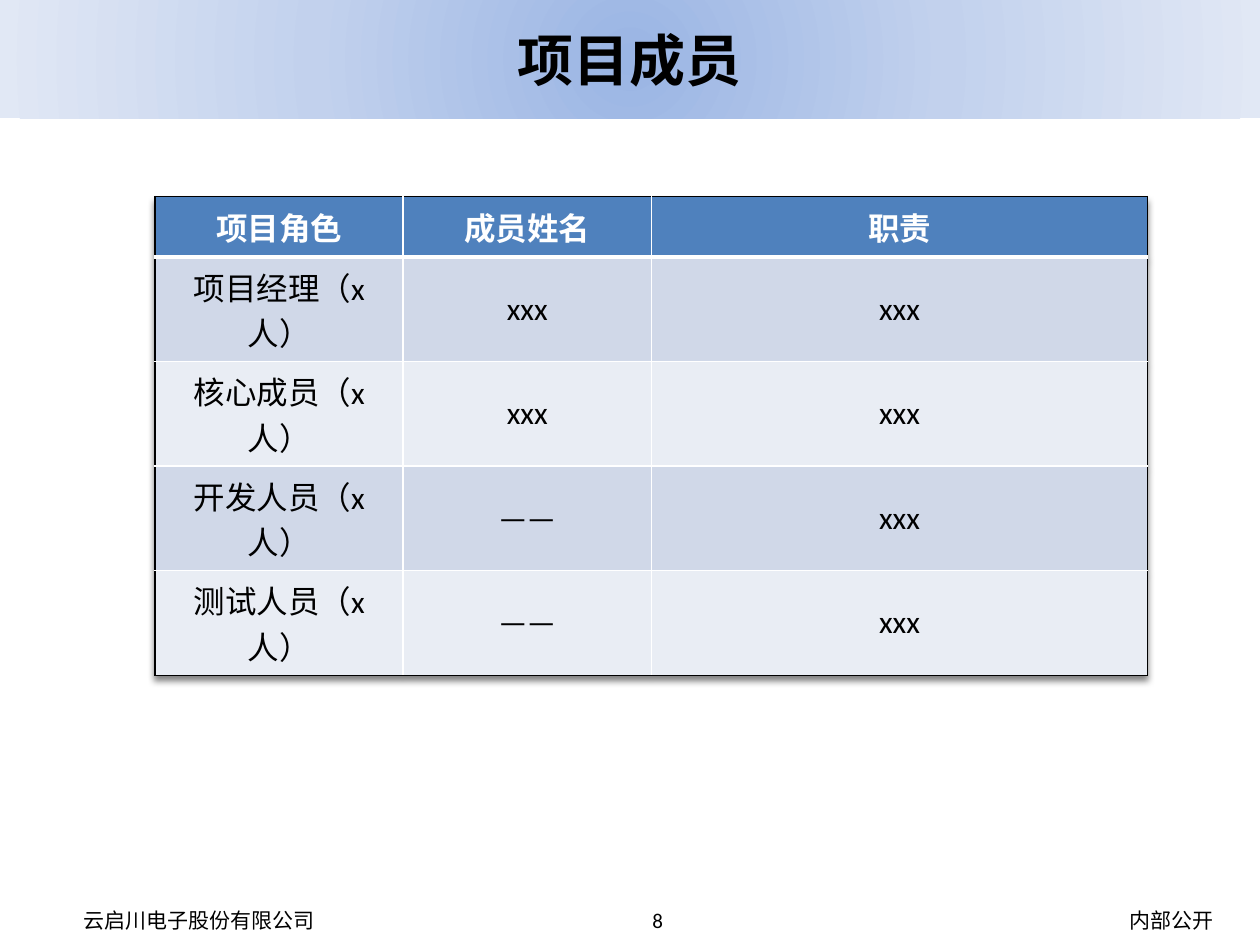
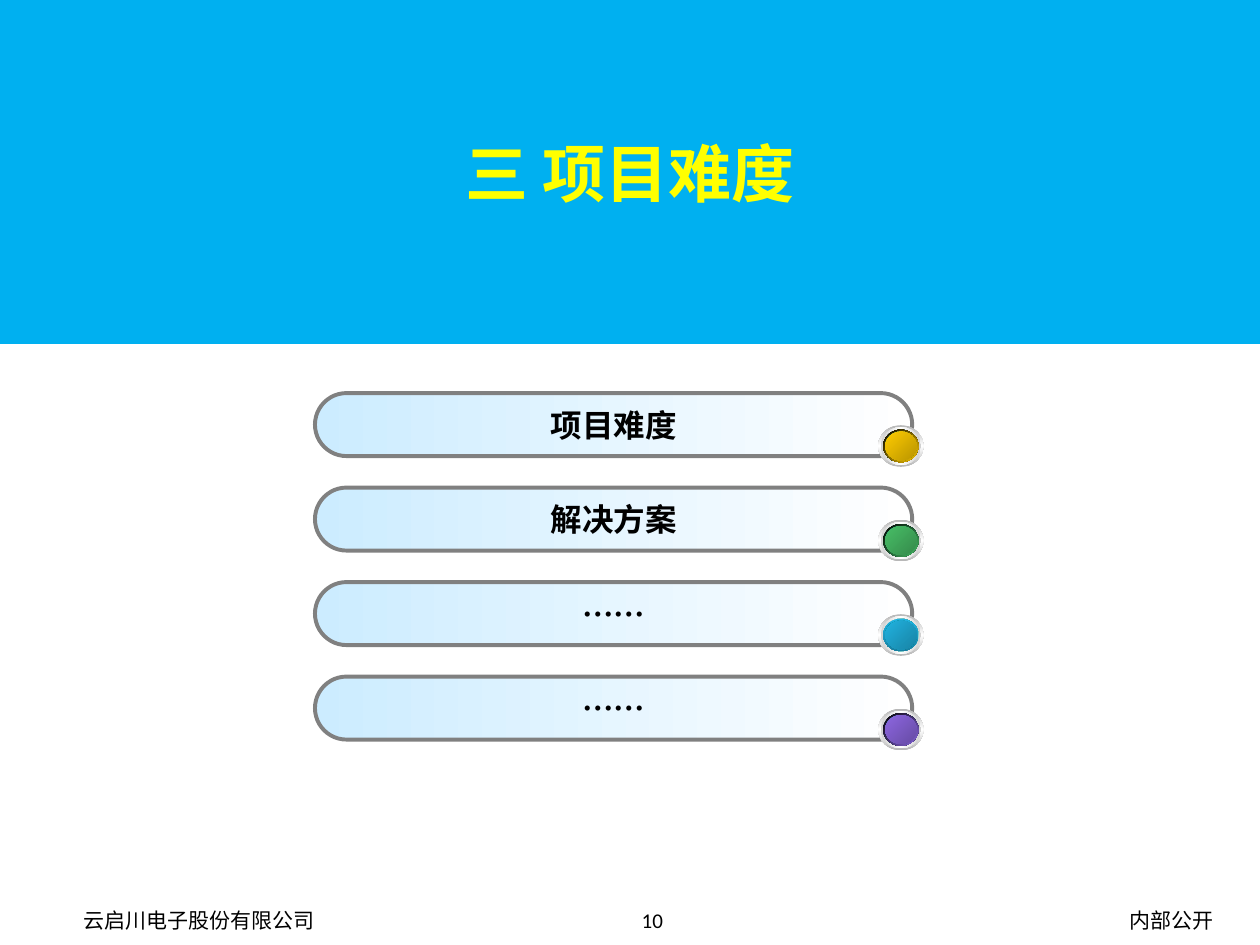
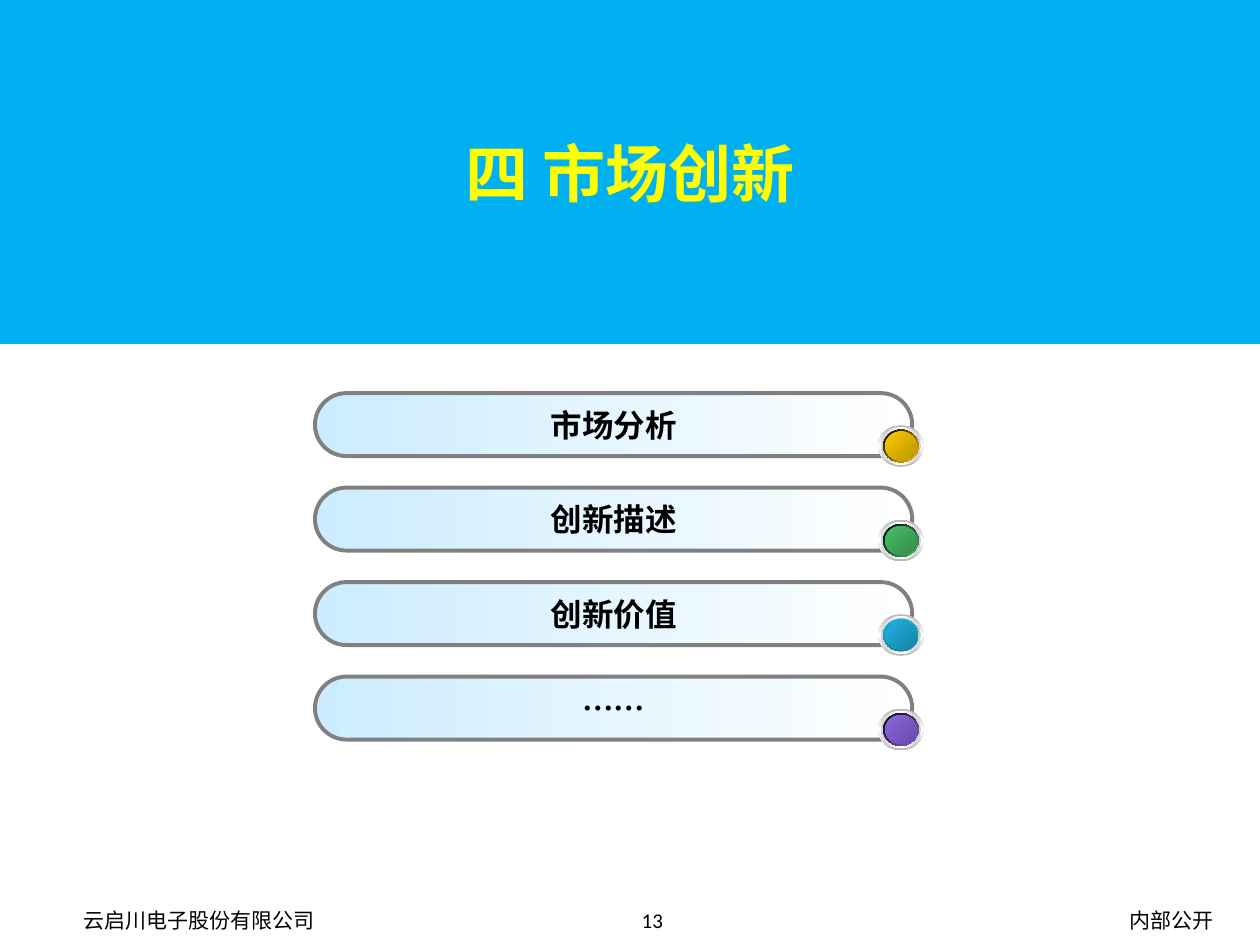
"""Build a project report excerpt: a member table and two section openers."""
from dataclasses import dataclass

import pptx
import pptx.dml.color
import pptx.enum.shapes
import pptx.enum.text
import pptx.oxml
import pptx.oxml.ns
import pptx.util
from pptx.util import Inches

MEMBERS = {
    "title": "项目成员",
    "number": 8,
    "rows": [
        ("项目角色", "成员姓名", "职责"),
        ("项目经理（x人）", "xxx", "xxx"),
        ("核心成员（x人）", "xxx", "xxx"),
        ("开发人员（x人）", "——", "xxx"),
        ("测试人员（x人）", "——", "xxx"),
    ],
}
SECTIONS = [
    {"title": "三 项目难度", "number": 10,
     "topics": ["项目难度", "解决方案", "……", "……"]},
    {"title": "四 市场创新", "number": 13,
     "topics": ["市场分析", "创新描述", "创新价值", "……"]},
]
COMPANY = "云启川电子股份有限公司"
CONFIDENTIALITY = "内部公开"

COLUMN_WIDTHS = (1.97, 1.97, 3.94)
HEADER_HEIGHT = 0.48
MEMBER_HEIGHT = 0.83
TOPIC_TOP = 3.12
TOPIC_PITCH = 0.75


@dataclass(frozen=True)
class Theme:
    """Colours, fonts and type sizes of the deck."""
    body_font: str = "Calibri"
    title_font: str = "Noto Sans CJK SC"
    ink: str = "000000"
    paper: str = "FFFFFF"
    section_band: str = "00B0F0"
    section_title: str = "FFFF00"
    page_band: tuple = ("9AB5E4", "C2D1ED", "E1E8F5")
    pill: tuple = ("CCECFF", "FFFFFF")
    pill_line: str = "808080"
    header_fill: str = "4F81BD"
    row_fills: tuple = ("D0D8E8", "E9EDF4")
    rim: tuple = ("B6B6B6", "FFFFFF", "B6B6B6")
    bevel: tuple = ("D1D1D1", "FFFFFF", "D1D1D1")
    glint: tuple = ("FFFFFF", "009999", "FFFFFF")
    core: tuple = ("007575", "009999", "007575")
    section_size: int = 36
    title_size: int = 32
    text_size: int = 18
    footer_size: int = 12


THEME = Theme()
ORBS = [
    {"back": ("000000", "FFCC00"), "back_angle": 45, "front": ("FFCC00", "BA9500")},
    {"back": ("000000", "48BE67"), "back_angle": 45, "front": ("48BE67", "358B4B")},
    {"back": ("21B3E1", "1880A1"), "back_angle": 90, "front": ("21B3E1", "1883A4")},
    {"back": ("000000", "8D67E1"), "back_angle": 45, "front": ("8D67E1", "674BA4")},
]
SHAPES = pptx.enum.shapes.MSO_SHAPE
ALIGN = pptx.enum.text.PP_ALIGN
MIDDLE = pptx.enum.text.MSO_ANCHOR.MIDDLE
NAMESPACE = pptx.oxml.ns.nsdecls("a")


def rgb(colour):
    """Turn a hex string into a colour."""
    return pptx.dml.color.RGBColor.from_string(colour)


def write(frame, text, *, size, font=THEME.body_font, colour=THEME.ink,
          bold=False, align=ALIGN.CENTER, wrap=True):
    """Put one formatted paragraph into a text frame."""
    frame.word_wrap = wrap
    para = frame.paragraphs[0]
    para.alignment = align
    span = para.add_run()
    span.text = text
    span.font.size = pptx.util.Pt(size)
    span.font.name = font
    span.font.bold = bold
    span.font.color.rgb = rgb(colour)
    span.font._element.find(pptx.oxml.ns.qn("a:latin")).addnext(pptx.oxml.parse_xml(
        f'<a:ea {NAMESPACE} typeface="{THEME.title_font}"/>'))


def paint_gradient(shape, colours, angle=None):
    """Fill a shape with evenly spaced colours, from its centre if no angle is given."""
    stops = "".join(
        f'<a:gs pos="{100000 * index // (len(colours) - 1)}"><a:srgbClr val="{colour}"/></a:gs>'
        for index, colour in enumerate(colours))
    if angle is None:
        course = ('<a:path path="circle"><a:fillToRect l="50000" t="50000" '
                  'r="50000" b="50000"/></a:path>')
    else:
        course = f'<a:lin ang="{angle * 60000}" scaled="0"/>'
    shape.fill.background()
    blank = shape.element.spPr.find(pptx.oxml.ns.qn("a:noFill"))
    blank.getparent().replace(blank, pptx.oxml.parse_xml(
        f'<a:gradFill {NAMESPACE} rotWithShape="1"><a:gsLst>{stops}</a:gsLst>{course}</a:gradFill>'))


def add_box(shapes, kind, left, top, width, height, fill, angle=None):
    """Add a flat outline-free shape with a solid or gradient fill."""
    box = shapes.add_shape(kind, Inches(left), Inches(top), Inches(width), Inches(height))
    box.shadow.inherit = False
    box.line.fill.background()
    if isinstance(fill, tuple):
        paint_gradient(box, fill, angle)
    else:
        box.fill.solid()
        box.fill.fore_color.rgb = rgb(fill)
    box.text_frame.vertical_anchor = MIDDLE
    return box


def add_footer(page, number):
    """Add company, confidentiality and page number along the bottom."""
    for left, width, text, align in (
            (0.27, 2.62, COMPANY, ALIGN.CENTER),
            (8.59, 1.41, CONFIDENTIALITY, ALIGN.CENTER),
            (4.92, 0.44, str(number), ALIGN.RIGHT)):
        box = page.shapes.add_textbox(Inches(left), Inches(7.1), Inches(width), Inches(0.4))
        box.text_frame.vertical_anchor = MIDDLE
        write(box.text_frame, text, size=THEME.footer_size, align=align)


def add_page(deck, content, band_height, band_fill, size, colour):
    """Add a blank page with its title band and footer."""
    page = deck.slides.add_slide(deck.slide_layouts[6])
    band = add_box(page.shapes, SHAPES.RECTANGLE, 0, 0, 10, band_height, band_fill)
    write(band.text_frame, content["title"], size=size, font=THEME.title_font,
          colour=colour, bold=True)
    add_footer(page, content["number"])
    return page


def set_borders(cell, borders):
    """Draw the four sides of a cell from (colour, points) pairs."""
    properties = cell._tc.get_or_add_tcPr()
    for index, (side, (colour, points)) in enumerate(borders.items()):
        properties.insert(index, pptx.oxml.parse_xml(
            f'<a:{side} {NAMESPACE} w="{points * 12700}"><a:solidFill>'
            f'<a:srgbClr val="{colour}"/></a:solidFill></a:{side}>'))


def add_member_table(page, rows):
    """Add the table of roles, names and duties."""
    heights = [HEADER_HEIGHT] + [MEMBER_HEIGHT] * (len(rows) - 1)
    frame = page.shapes.add_table(
        len(rows), len(COLUMN_WIDTHS), Inches(1.23), Inches(1.56),
        Inches(sum(COLUMN_WIDTHS)), Inches(sum(heights)))
    table = frame.table
    table._tbl.tblPr.insert(0, pptx.oxml.parse_xml(
        f'<a:effectLst {NAMESPACE}><a:outerShdw blurRad="50800" dist="38100" dir="5400000">'
        '<a:srgbClr val="000000"><a:alpha val="50000"/></a:srgbClr></a:outerShdw></a:effectLst>'))
    for column, width in zip(table.columns, COLUMN_WIDTHS):
        column.width = Inches(width)
    outer, inner, rule = (THEME.ink, 1), (THEME.paper, 1), (THEME.paper, 3)
    last_row, last_column = len(rows) - 1, len(COLUMN_WIDTHS) - 1
    for row, texts in enumerate(rows):
        table.rows[row].height = Inches(heights[row])
        header = row == 0
        for column, text in enumerate(texts):
            cell = table.cell(row, column)
            cell.vertical_anchor = MIDDLE
            cell.fill.solid()
            cell.fill.fore_color.rgb = rgb(
                THEME.header_fill if header else THEME.row_fills[(row - 1) % 2])
            write(cell.text_frame, text, size=THEME.text_size, bold=header,
                  colour=THEME.paper if header else THEME.ink)
            set_borders(cell, {
                "lnL": outer if column == 0 else inner,
                "lnR": outer if column == last_column else inner,
                "lnT": outer if header else rule if row == 1 else inner,
                "lnB": rule if header else outer if row == last_row else inner,
            })


def add_orb(shapes, centre_x, centre_y, orb):
    """Stack concentric ellipses into a glossy button."""
    for width, height, colours, angle in (
            (0.36, 0.33, THEME.rim, 90),
            (0.32, 0.30, THEME.bevel, 0),
            (0.28, 0.26, THEME.glint, 45),
            (0.28, 0.26, orb["back"], orb["back_angle"]),
            (0.25, 0.23, THEME.core, 315),
            (0.25, 0.23, orb["front"], 45)):
        add_box(shapes, SHAPES.OVAL, centre_x - width / 2, centre_y - height / 2,
                width, height, colours, angle)


def add_topics(page, topics):
    """Add one grouped pill and orb for each topic."""
    for index, (topic, orb) in enumerate(zip(topics, ORBS)):
        top = TOPIC_TOP + index * TOPIC_PITCH
        shapes = page.shapes.add_group_shape().shapes
        pill = add_box(shapes, SHAPES.ROUNDED_RECTANGLE, 2.5, top, 4.74, 0.5, THEME.pill, 0)
        pill.adjustments[0] = 0.5
        pill.line.color.rgb = rgb(THEME.pill_line)
        pill.line.width = pptx.util.Pt(2.25)
        write(pill.text_frame, topic, size=THEME.text_size, font=THEME.title_font,
              bold=True, wrap=False)
        add_orb(shapes, 7.15, top + 0.42, orb)


def main():
    """Build and save the deck."""
    deck = pptx.Presentation()
    deck.slide_width, deck.slide_height = Inches(10), Inches(7.5)
    page = add_page(deck, MEMBERS, 0.94, THEME.page_band, THEME.title_size, THEME.ink)
    add_member_table(page, MEMBERS["rows"])
    for section in SECTIONS:
        page = add_page(deck, section, 2.73, THEME.section_band,
                        THEME.section_size, THEME.section_title)
        add_topics(page, section["topics"])
    deck.save("out.pptx")


if __name__ == "__main__":
    main()
